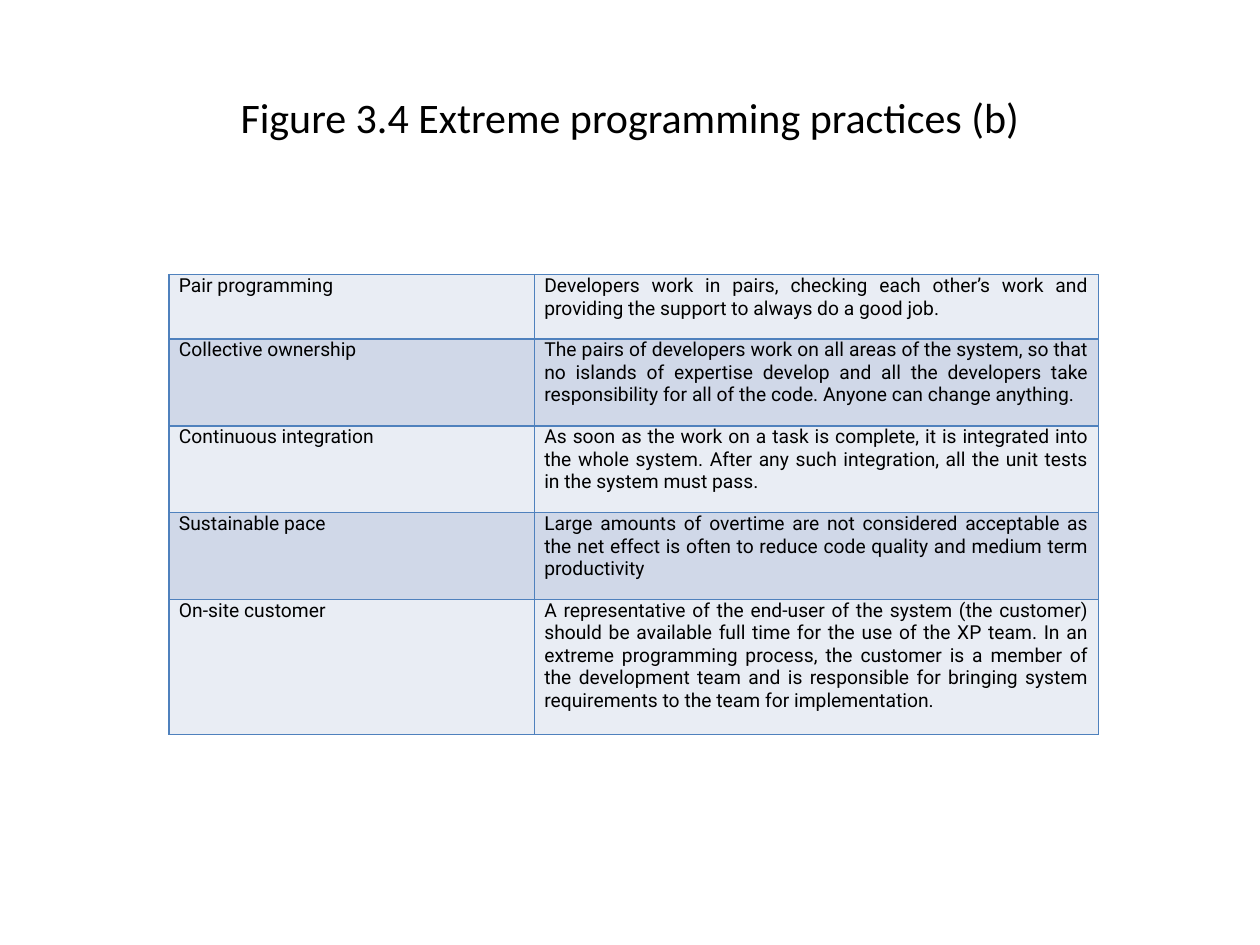
import pptx
import pptx.util
import pptx.dml.color
import pptx.enum.text
import pptx.oxml
import pptx.oxml.ns
from pptx.util import Inches

ALIGN = pptx.enum.text.PP_ALIGN
ANCHOR = pptx.enum.text.MSO_ANCHOR


class Theme:
    text = "000000"
    border = "4F81BD"
    bands = ("E9EDF4", "D0D8E8")
    title_font, title_size = "Calibri", 24
    body_font, body_size = "Roboto", 11
    border_width = 1


PRACTICES = [
    ("Pair programming", 0.51,
     "Developers work in pairs, checking each other’s work and providing "
     "the support to always do a good job."),
    ("Collective ownership", 0.69,
     "The pairs of developers work on all areas of the system, so that no "
     "islands of expertise develop and all the developers take responsibility "
     "for all of the code. Anyone can change anything."),
    ("Continuous integration", 0.69,
     "As soon as the work on a task is complete, it is integrated into the "
     "whole system. After any such integration, all the unit tests in the "
     "system must pass."),
    ("Sustainable pace", 0.69,
     "Large amounts of overtime are not considered acceptable as the net "
     "effect is often to reduce code quality and medium term productivity"),
    ("On-site customer", 1.07,
     "A representative of the end-user of the system (the customer) should be "
     "available full time for the use of the XP team. In an extreme programming "
     "process, the customer is a member of the development team and is "
     "responsible for bringing system requirements to the team for "
     "implementation."),
]
COLUMN_WIDTHS = (2.9, 4.48)


def set_attrs(obj, values):
    for name, value in values.items():
        setattr(obj, name, value)


def write_text(tf, text, font, size, align):
    p = tf.paragraphs[0]
    p.alignment = align
    r = p.add_run()
    r.text = text
    set_attrs(r.font, {"name": font, "size": pptx.util.Pt(size), "bold": False})
    r.font.color.rgb = pptx.dml.color.RGBColor.from_string(Theme.text)


def add_title(s, text):
    sp = s.shapes.title
    set_attrs(sp, {"left": Inches(0.5), "top": Inches(0.3),
                   "width": Inches(9), "height": Inches(1.25)})
    set_attrs(sp.text_frame, {"vertical_anchor": ANCHOR.MIDDLE, "word_wrap": True,
                              "auto_size": pptx.enum.text.MSO_AUTO_SIZE.NONE})
    write_text(sp.text_frame, text, Theme.title_font, Theme.title_size, ALIGN.CENTER)


def add_borders(cell):
    # Border lines come before the fill in the cell properties
    tc_pr = cell._tc.get_or_add_tcPr()
    width = pptx.util.Pt(Theme.border_width)
    for i, side in enumerate(("lnL", "lnR", "lnT", "lnB")):
        line = pptx.oxml.parse_xml(
            f'<a:{side} {pptx.oxml.ns.nsdecls("a")} w="{width}"><a:solidFill>'
            f'<a:srgbClr val="{Theme.border}"/></a:solidFill></a:{side}>')
        tc_pr.insert(i, line)


def format_cell(cell, text, fill):
    set_attrs(cell, {"margin_left": Inches(0.08), "margin_right": Inches(0.08),
                     "margin_top": 0, "margin_bottom": Inches(0.1),
                     "vertical_anchor": ANCHOR.TOP})
    cell.fill.solid()
    cell.fill.fore_color.rgb = pptx.dml.color.RGBColor.from_string(fill)
    write_text(cell.text_frame, text, Theme.body_font, Theme.body_size, ALIGN.JUSTIFY)
    add_borders(cell)


def add_practice_table(s, practices):
    height = sum(row_height for _, row_height, _ in practices)
    table = s.shapes.add_table(
        len(practices), len(COLUMN_WIDTHS), Inches(1.34), Inches(2.18),
        Inches(sum(COLUMN_WIDTHS)), Inches(height)).table
    set_attrs(table, {"first_row": False, "horz_banding": False})
    for column, width in zip(table.columns, COLUMN_WIDTHS):
        column.width = Inches(width)
    for i, (practice, row_height, description) in enumerate(practices):
        table.rows[i].height = Inches(row_height)
        for j, text in enumerate((practice, description)):
            format_cell(table.cell(i, j), text, Theme.bands[i % 2])


def main():
    prs = pptx.Presentation()
    set_attrs(prs, {"slide_width": Inches(10), "slide_height": Inches(7.5)})
    s = prs.slides.add_slide(prs.slide_layouts[5])  # title only
    add_title(s, "Figure 3.4 Extreme programming practices (b)")
    add_practice_table(s, PRACTICES)
    prs.save("out.pptx")


main()
